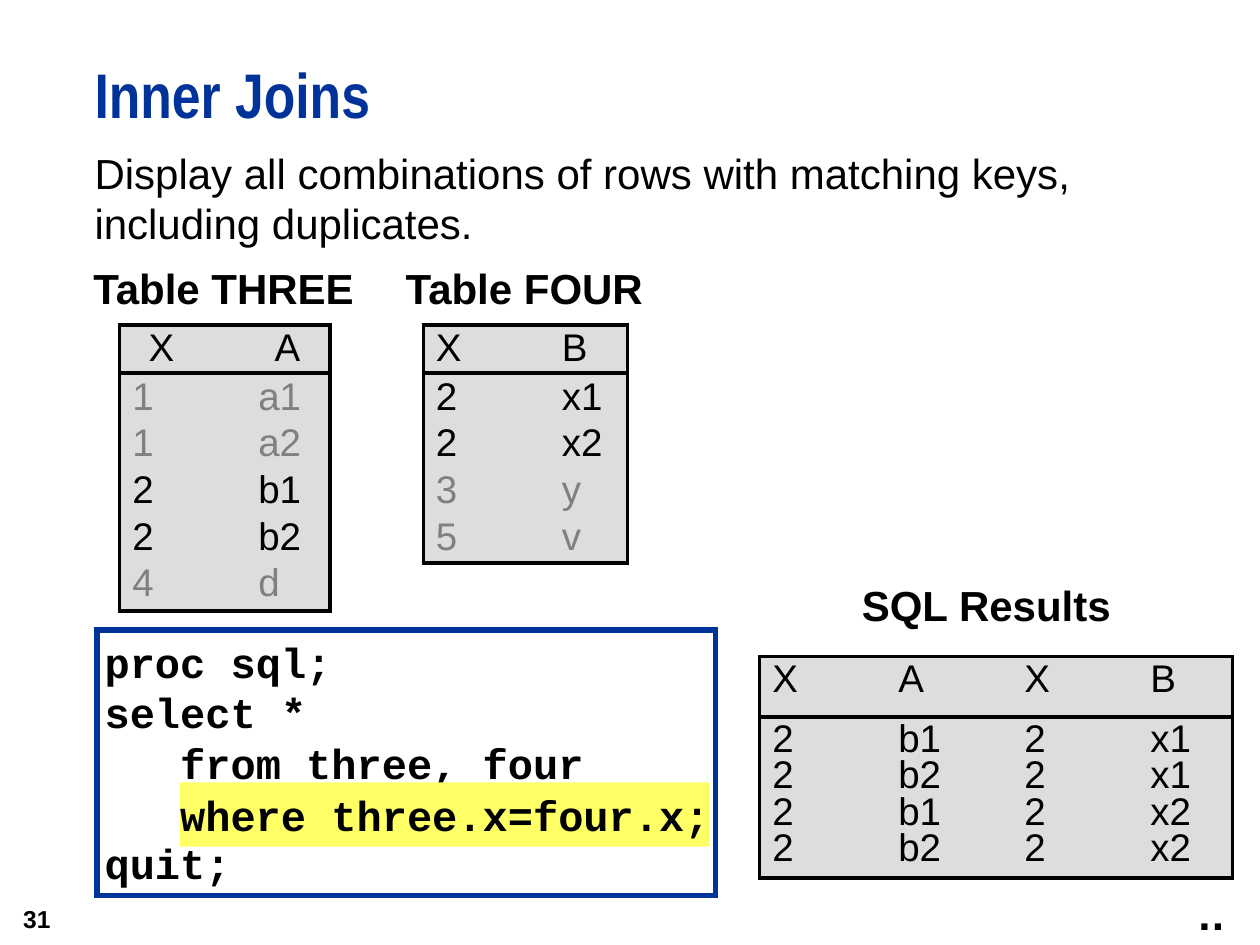
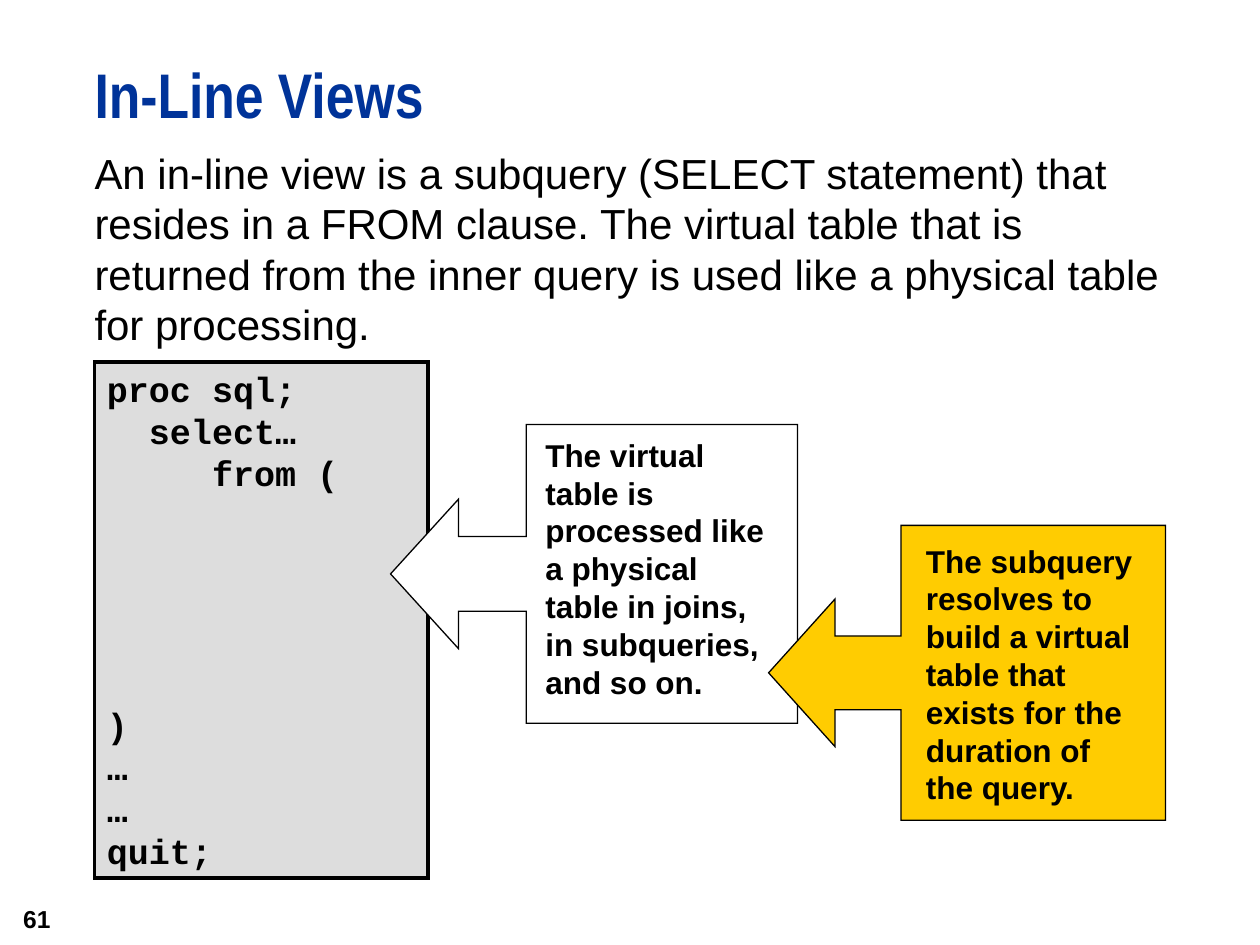
from lxml.etree import SubElement
from pptx import Presentation
from pptx.dml.color import RGBColor
from pptx.enum.shapes import MSO_CONNECTOR, MSO_SHAPE
from pptx.enum.text import MSO_ANCHOR, MSO_AUTO_SIZE, PP_ALIGN
from pptx.oxml import parse_xml
from pptx.oxml.ns import nsdecls, qn
from pptx.util import Inches, Pt

BLACK = RGBColor(0x00, 0x00, 0x00)
WHITE = RGBColor(0xFF, 0xFF, 0xFF)
NAVY = RGBColor(0x00, 0x33, 0x99)
GREY = RGBColor(0x80, 0x80, 0x80)
PANEL = RGBColor(0xDD, 0xDD, 0xDD)
YELLOW = RGBColor(0xFF, 0xFF, 0x66)
GOLD = RGBColor(0xFF, 0xCC, 0x01)

SANS = "Arial"
NARROW = "Arial Narrow"
MONO = "Courier New"
MATCHING_KEY = "2"
RULE_WIDTH = Pt(2.25)


def add_run(p, text, size, font=SANS, color=BLACK, bold=False):
    r = p.add_run()
    r.text = text
    r.font.size = Pt(size)
    r.font.name = font
    r.font.color.rgb = color
    r.font.bold = bold


def set_frame(tf, insets=(0, 0), wrap=True, anchor=MSO_ANCHOR.TOP):
    tf.auto_size = MSO_AUTO_SIZE.NONE
    tf.word_wrap = wrap
    tf.vertical_anchor = anchor
    tf.margin_left = tf.margin_right = Inches(insets[0])
    tf.margin_top = tf.margin_bottom = Inches(insets[1])


def add_text(s, box, text, size, font=SANS, align=PP_ALIGN.LEFT, **frame):
    sp = s.shapes.add_textbox(*map(Inches, box))
    set_frame(sp.text_frame, **frame)
    p = sp.text_frame.paragraphs[0]
    p.alignment = align
    add_run(p, text, size, font, bold=True)


def add_panel(s, shape, box, fill, line=None, width=0):
    sp = s.shapes.add_shape(shape, *map(Inches, box))
    sp.shadow.inherit = False
    sp.fill.solid()
    sp.fill.fore_color.rgb = fill
    if line is None:
        sp.line.fill.background()
    else:
        sp.line.color.rgb = line
        sp.line.width = Pt(width)
        SubElement(sp._element.spPr.find(qn("a:ln")), qn("a:miter"), lim="800000")
    return sp


def add_rule(s, left, top, width):
    line = s.shapes.add_connector(MSO_CONNECTOR.STRAIGHT, Inches(left), Inches(top),
                                  Inches(left + width), Inches(top))
    line.line.color.rgb = BLACK
    line.line.width = RULE_WIDTH
    SubElement(line._element.spPr, qn("a:effectLst"))


def add_lines(sp, lines, size, font, **frame):
    tf = sp.text_frame
    set_frame(tf, **frame)
    for i, line in enumerate(lines):
        p = tf.add_paragraph() if i else tf.paragraphs[0]
        p.alignment = PP_ALIGN.LEFT
        add_run(p, line, size, font, bold=True)
    return tf.paragraphs


def add_callout(s, box, text_box, adjustments, fill, text):
    arrow = add_panel(s, MSO_SHAPE.LEFT_ARROW_CALLOUT, box, fill, BLACK, 0.75)
    for i, value in enumerate(adjustments):
        arrow.adjustments[i] = value
    sp = add_panel(s, MSO_SHAPE.RECTANGLE, text_box, fill)
    add_lines(sp, [text], 18, SANS, insets=(0.1, 0.05))


def set_borders(cell, edges):
    tcPr = cell._tc.get_or_add_tcPr()
    for i, (name, visible) in enumerate(edges.items()):
        ln = parse_xml(f'<a:{name} {nsdecls("a")} w="{RULE_WIDTH}"/>')
        if visible:
            fill = SubElement(ln, qn("a:solidFill"))
            SubElement(fill, qn("a:srgbClr"), val=str(BLACK))
        else:
            SubElement(ln, qn("a:noFill"))
        tcPr.insert(i, ln)


def add_data_table(s, left, top, widths, height, header_height, pitch, pad, rows,
                   header_indent=0.1, spacing=1.0):
    last = len(rows) - 1
    heights = [header_height, pitch + pad] + [pitch] * (last - 2)
    heights.append(height - sum(heights))
    frame = s.shapes.add_table(len(rows), len(widths), Inches(left), Inches(top),
                               Inches(sum(widths)), Inches(height))
    table = frame.table
    table.first_row = table.horz_banding = False
    for column, width in zip(table.columns, widths):
        column.width = Inches(width)
    for row, row_height in zip(table.rows, heights):
        row.height = Inches(row_height)
    for i, values in enumerate(rows):
        header = i == 0
        color = BLACK if header or values[0] == MATCHING_KEY else GREY
        for j, value in enumerate(values):
            cell = table.cell(i, j)
            cell.fill.solid()
            cell.fill.fore_color.rgb = PANEL
            set_borders(cell, {"lnL": j == 0, "lnR": j == len(widths) - 1,
                               "lnT": header, "lnB": i == last})
            cell.margin_left = Inches(header_indent if header else 0.1)
            cell.margin_right = cell.margin_bottom = 0
            cell.margin_top = Inches({0: 0.01, 1: pad}.get(i, 0))
            cell.vertical_anchor = MSO_ANCHOR.TOP
            p = cell.text_frame.paragraphs[0]
            if not header:
                p.line_spacing = spacing
            add_run(p, value, 22, color=color)
    add_rule(s, left, top + header_height, sum(widths))


def place(sp, box):
    sp.left, sp.top, sp.width, sp.height = map(Inches, box)
    set_frame(sp.text_frame)
    p = sp.text_frame.paragraphs[0]
    p.alignment = PP_ALIGN.LEFT
    return p


def add_slide(prs, title, intro, intro_height, number):
    s = prs.slides.add_slide(prs.slide_layouts[1])
    p = place(s.shapes.title, (0.75, 0.5, 9.25, 0.75))
    p.line_spacing = Pt(39)
    add_run(p, title, 36, NARROW, NAVY, True)
    p = place(s.placeholders[1], (0.75, 1.17, 8.58, intro_height))
    pPr = p._p.get_or_add_pPr()
    pPr.set("marL", "0")
    pPr.set("indent", "0")
    SubElement(pPr, qn("a:buNone"))
    p.space_before = Pt(0)
    add_run(p, intro, 24)
    add_text(s, (0, 7.08, 0.5, 0.42), number, 14, align=PP_ALIGN.RIGHT,
             insets=(0.1, 0.05), anchor=MSO_ANCHOR.MIDDLE)
    return s


def build_inner_joins(prs):
    s = add_slide(prs, "Inner Joins",
                  "Display all combinations of rows with matching keys, "
                  "including duplicates.", 4.67, "31")
    condition = "where three.x=four.x;"
    code = add_panel(s, MSO_SHAPE.RECTANGLE, (0.77, 5, 4.91, 2.11), WHITE, NAVY, 3)
    add_lines(code, ["proc sql;", "select *", "   from three, four",
                     "   " + condition, "quit;"],
              24, MONO, insets=(0.06, 0.05), wrap=False)
    highlight = add_panel(s, MSO_SHAPE.RECTANGLE, (1.43, 6.21, 4.2, 0.51), YELLOW)
    add_lines(highlight, [condition], 24, MONO, insets=(0, 0.06), wrap=False)

    for label, left, top, width in (("Table THREE", 0.74, 2.08, 2.09),
                                    ("Table FOUR", 3.22, 2.08, 1.91),
                                    ("SQL Results", 6.84, 4.6, 1.98)):
        add_text(s, (left, top, width, 0.4), label, 24, wrap=False)

    three = [("1", "a1"), ("1", "a2"), ("2", "b1"), ("2", "b2"), ("4", "d")]
    four = [("2", "x1"), ("2", "x2"), ("3", "y"), ("5", "v")]
    joined = [a + b for b in four for a in three if a[0] == b[0]]
    add_data_table(s, 0.95, 2.58, (1, 0.67), 2.27, 0.38, 0.37, 0.02,
                   [("X", "A")] + three, header_indent=0.23)
    add_data_table(s, 3.36, 2.58, (1, 0.62), 1.89, 0.38, 0.37, 0.02,
                   [("X", "B")] + four)
    add_data_table(s, 6.03, 5.21, (1, 1, 1, 0.75), 1.76, 0.48, 0.29, 0.06,
                   [("X", "A", "X", "B")] + joined, spacing=0.8)
    add_text(s, (9.41, 7.06, 0.44, 0.44), "...", 20, "DejaVu Sans",
             insets=(0.1, 0.05))


def build_inline_views(prs):
    s = add_slide(prs, "In-Line Views",
                  "An in-line view is a subquery (SELECT statement) that resides "
                  "in a FROM clause. The virtual table that is returned from the "
                  "inner query is used like a physical table for processing.",
                  1.83, "61")
    code = add_panel(s, MSO_SHAPE.RECTANGLE, (0.75, 2.87, 2.65, 4.1),
                     PANEL, BLACK, 2.25)
    lines = ["proc sql;", "  select…", "     from (", ")", "…", "…", "quit;"]
    paragraphs = add_lines(code, lines, 20, MONO, insets=(0.1, 0.05))
    paragraphs[lines.index(")")].space_before = Pt(120)

    add_callout(s, (3.1, 3.37, 3.23, 2.37), (4.23, 3.41, 1.97, 2.2),
                (0.25, 0.25, 5 / 22, 2 / 3), WHITE,
                "The virtual table is processed like a physical table in joins, "
                "in subqueries, and so on.")
    add_callout(s, (6.1, 4.17, 3.15, 2.34), (7.25, 4.25, 1.92, 2.2),
                (0.25, 0.25, 9 / 40, 2 / 3), GOLD,
                "The subquery resolves to build a virtual table that exists for "
                "the duration of the query.")


def main():
    prs = Presentation()
    prs.slide_width = Inches(10)
    prs.slide_height = Inches(7.5)
    build_inner_joins(prs)
    build_inline_views(prs)
    prs.save("out.pptx")


if __name__ == "__main__":
    main()
